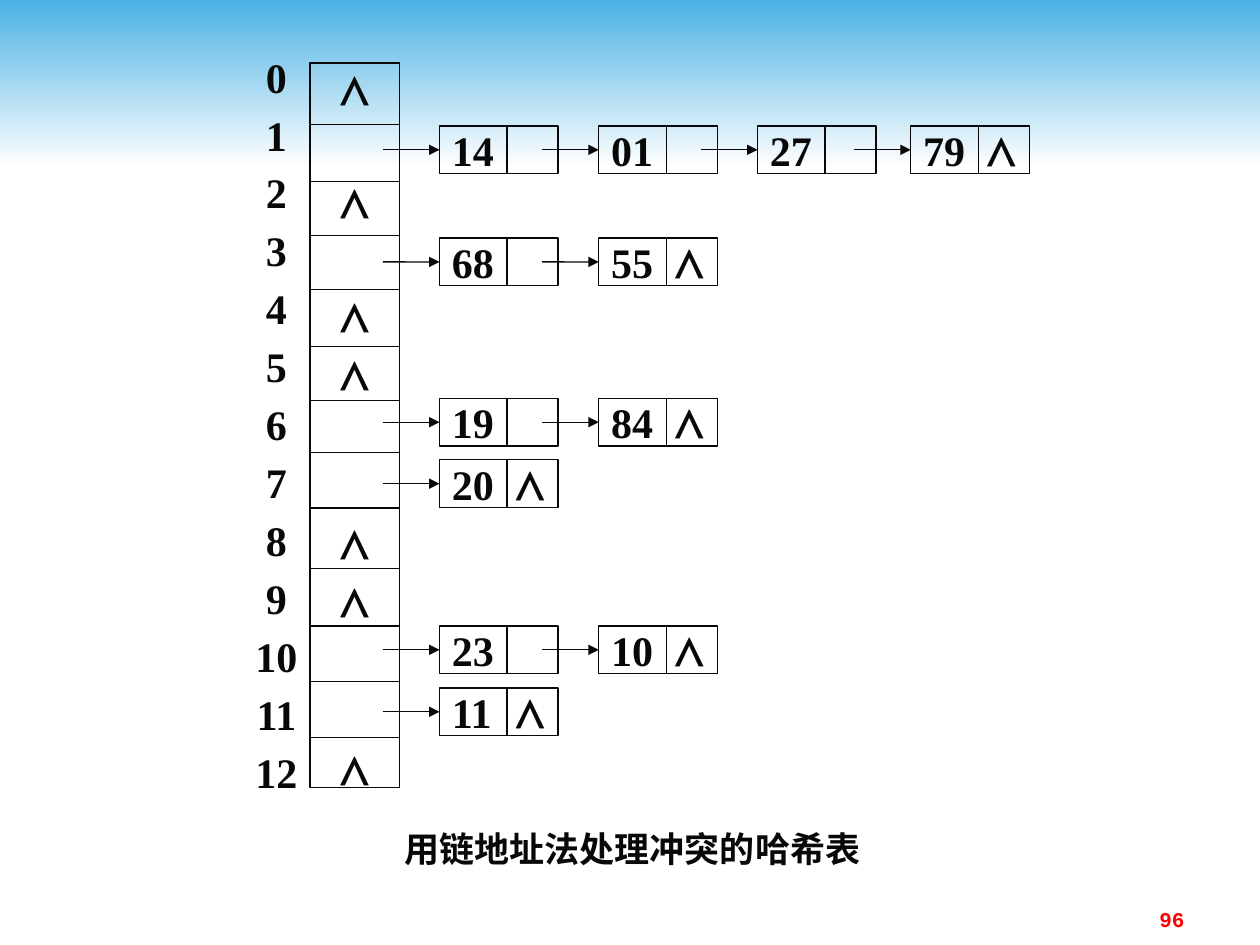
"""Builds a slide showing a hash table that resolves collisions by chaining."""
import pptx
import pptx.dml.color
import pptx.enum.shapes
import pptx.enum.text
import pptx.util
from lxml import etree
from pptx.oxml.ns import qn

Cm, Pt = pptx.util.Cm, pptx.util.Pt
RGBColor = pptx.dml.color.RGBColor
ALIGN = pptx.enum.text.PP_ALIGN
ANCHOR = pptx.enum.text.MSO_ANCHOR
RECT = pptx.enum.shapes.MSO_SHAPE.RECTANGLE
STRAIGHT = pptx.enum.shapes.MSO_CONNECTOR.STRAIGHT

INK = RGBColor(0x08, 0x08, 0x08)
RED = RGBColor(0xFF, 0x00, 0x00)
SKY = RGBColor(0x4A, 0xB1, 0xE4)
WHITE = RGBColor(0xFF, 0xFF, 0xFF)

CAPTION = "用链地址法处理冲突的哈希表"
PAGE = "96"
NULL = "⋀"
SLOTS = 13
CHAINS = {
    1: (2.54, ["14", "01", "27", "79"]),
    3: (4.8, ["68", "55"]),
    6: (8.03, ["19", "84"]),
    7: (9.27, ["20"]),
    10: (12.62, ["23", "10"]),
    11: (13.87, ["11"]),
}
SLOT_LINES = [2.51, 3.66, 4.75, 5.84, 6.99, 8.08, 9.12, 10.24, 11.46, 12.62, 13.74, 14.86]
NODE_LEFTS = [8.86, 12.07, 15.27, 18.36]
NODE_W, NODE_H, NODE_SPLIT, NULL_TAB, ARROW = 2.39, 0.96, 1.36, 1.27, 1.14
TABLE_LEFT, TABLE_TOP, TABLE_W, TABLE_H = 6.25, 1.27, 1.8, 14.6
LINE_SPACING, LINE_PITCH = 1.15, 31.7

BODY = {"name": "Times New Roman", "size": Pt(24), "bold": True}
CAPTION_FONT = {**BODY, "size": Pt(20)}
PAGE_FONT = {"name": "Courier New", "size": Pt(12), "bold": True}


def write(p, text, font, color=INK, align=ALIGN.CENTER):
    r = p.add_run()
    r.text = text
    for key, value in font.items():
        setattr(r.font, key, value)
    r.font.color.rgb = color
    p.alignment = align


def set_frame(tf, anchor=ANCHOR.MIDDLE, wrap=False):
    for key, value in {"vertical_anchor": anchor, "word_wrap": wrap,
                       "auto_size": pptx.enum.text.MSO_AUTO_SIZE.NONE}.items():
        setattr(tf, key, value)


def add_box(s, *box):
    sp = s.shapes.add_shape(RECT, *map(Cm, box))
    sp.shadow.inherit = False
    sp.fill.background()
    sp.line.color.rgb = INK
    sp.line.width = Pt(0.75)
    set_frame(sp.text_frame)
    return sp


def add_line(s, *ends):
    line = s.shapes.add_connector(STRAIGHT, *map(Cm, ends))
    line.line.color.rgb = INK
    line.line.width = Pt(0.75)
    etree.SubElement(line._element.spPr, qn("a:effectLst"))
    return line


def add_node(s, left, top, value, is_last):
    sp = add_box(s, left, top, NODE_W, NODE_H)
    tf = sp.text_frame
    tf.word_wrap = True
    tf.margin_right = 0
    p = tf.paragraphs[0]
    if is_last:
        tabs = etree.SubElement(p._p.get_or_add_pPr(), qn("a:tabLst"))
        etree.SubElement(tabs, qn("a:tab"), pos=str(Cm(NULL_TAB)), algn="l")
    write(p, f"{value}\t{NULL}" if is_last else value, BODY, align=ALIGN.LEFT)
    add_line(s, left + NODE_SPLIT, top, left + NODE_SPLIT, top + NODE_H)
    middle = top + NODE_H / 2
    arrow = add_line(s, left - ARROW, middle, left, middle)
    arrow.end_connect(sp, 1)
    etree.SubElement(arrow.line._get_or_add_ln(), qn("a:tailEnd"), type="triangle")


def add_column(tf, entries):
    previous = None
    for slot, text in entries:
        p = tf.paragraphs[0] if previous is None else tf.add_paragraph()
        p.line_spacing = LINE_SPACING
        if previous is not None:
            p.space_before = Pt(LINE_PITCH * (slot - previous - 1))
        write(p, text, BODY)
        previous = slot


def main():
    prs = pptx.Presentation()
    prs.slide_width, prs.slide_height = Cm(25.4), Cm(19.05)
    s = prs.slides.add_slide(prs.slide_layouts[5])

    band = add_box(s, 0, 0, 25.4, 3.38)
    band.line.fill.background()
    band.fill.gradient()
    band.fill.gradient_angle = 270
    for stop, color in zip(band.fill.gradient_stops, (SKY, WHITE)):
        stop.color.rgb = color

    title = s.shapes.title
    title.left, title.top, title.width, title.height = map(Cm, (6.55, 16.66, 12.4, 0.89))
    set_frame(title.text_frame)
    write(title.text_frame.paragraphs[0], CAPTION, CAPTION_FONT)

    page = s.shapes.add_textbox(*map(Cm, (18.21, 18.16, 5.92, 0.69)))
    set_frame(page.text_frame, ANCHOR.TOP, True)
    write(page.text_frame.paragraphs[0], PAGE, PAGE_FONT, RED, ALIGN.RIGHT)

    for top, values in CHAINS.values():
        for i, (left, value) in enumerate(zip(NODE_LEFTS, values)):
            add_node(s, left, top, value, i == len(values) - 1)

    labels = s.shapes.add_textbox(*map(Cm, (5.08, 1.17, 0.99, TABLE_H)))
    set_frame(labels.text_frame)
    add_column(labels.text_frame, [(i, str(i)) for i in range(SLOTS)])

    table = add_box(s, TABLE_LEFT, TABLE_TOP, TABLE_W, TABLE_H)
    add_column(table.text_frame, [(i, NULL) for i in range(SLOTS) if i not in CHAINS])
    for y in SLOT_LINES:
        add_line(s, TABLE_LEFT, y, TABLE_LEFT + TABLE_W, y)

    prs.save("out.pptx")


if __name__ == "__main__":
    main()
